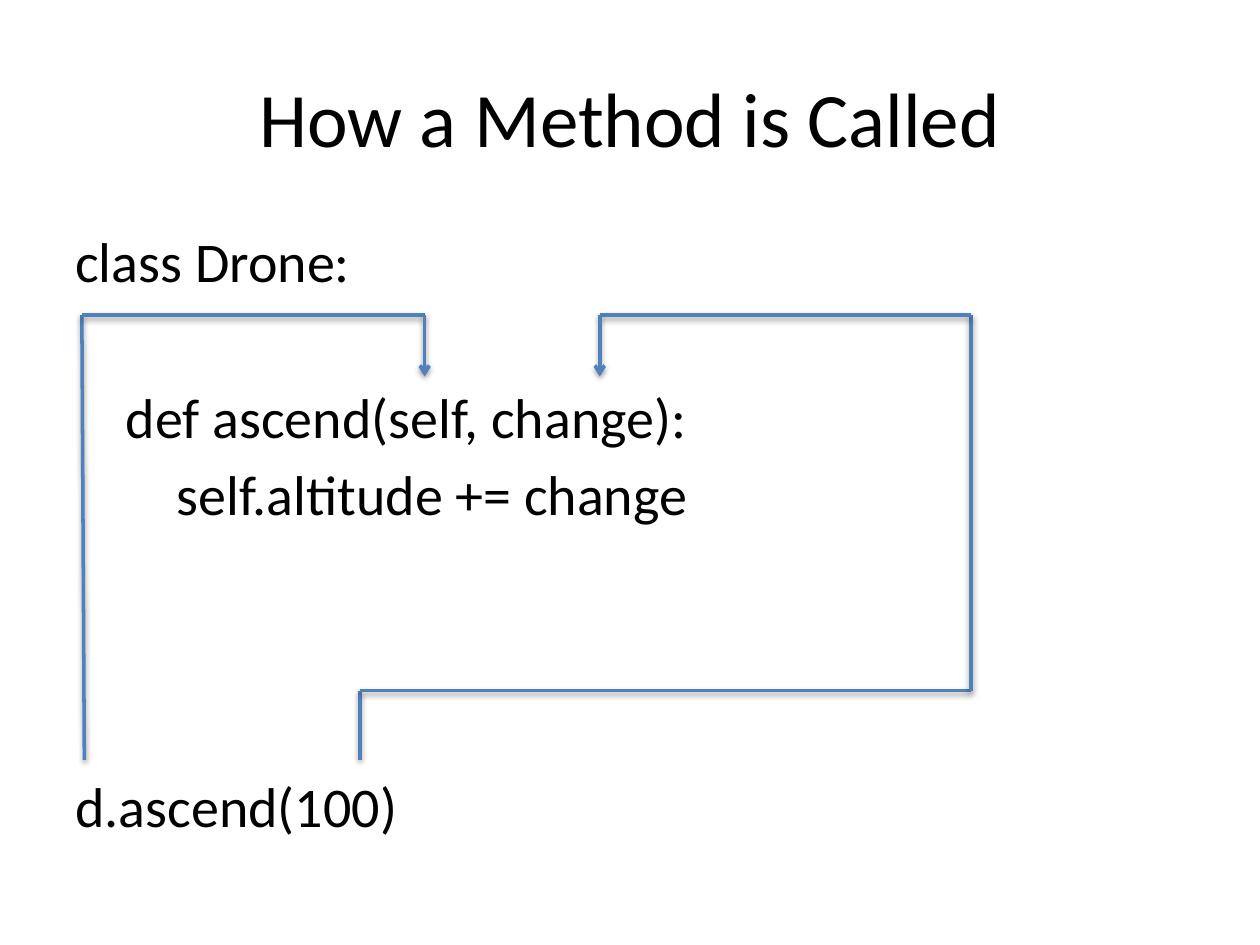
from dataclasses import dataclass
from itertools import pairwise

from lxml import etree
from pptx import Presentation
from pptx.dml.color import RGBColor
from pptx.enum.shapes import MSO_CONNECTOR
from pptx.enum.text import MSO_ANCHOR, PP_ALIGN
from pptx.oxml import parse_xml
from pptx.oxml.ns import qn
from pptx.slide import Slide
from pptx.text.text import _Paragraph
from pptx.util import Cm, Pt

STRAIGHT = MSO_CONNECTOR.STRAIGHT
MIDDLE, TOP = MSO_ANCHOR.MIDDLE, MSO_ANCHOR.TOP
CENTER, LEFT = PP_ALIGN.CENTER, PP_ALIGN.LEFT
BLACK = RGBColor(0x00, 0x00, 0x00)
BLUE = RGBColor(0x4F, 0x81, 0xBD)
TAB = 1.02  # one code indent, in cm

SHADOW = """<a:effectLst
 xmlns:a="http://schemas.openxmlformats.org/drawingml/2006/main">
 <a:outerShdw blurRad="40000" dist="20000" dir="5400000" rotWithShape="0">
 <a:srgbClr val="000000"><a:alpha val="38000"/></a:srgbClr>
 </a:outerShdw></a:effectLst>"""


@dataclass
class Code:
    text: str
    depth: int
    gap: float  # points above the line


@dataclass
class Route:
    points: list[tuple[float, float]]  # cm, from call to parameter


# Levels and columns of the routes, in cm
CALL, TURN, TIP, ROOF = 15.32, 13.92, 7.59, 6.35
EDGE, SELF, VALUE, PARAM, SIDE = 1.7, 8.56, 7.26, 12.09, 19.58

CODE = [
    Code("class Drone:", 0, 1.4),
    Code("def ascend(self, change):", 1, 50.4),
    Code("self.altitude += change", 2, 5.7),
    Code("d.ascend(100)", 0, 139.9),
]
ROUTES = [
    Route([(EDGE, CALL), (1.65, ROOF), (SELF, ROOF), (SELF, TIP)]),
    Route([(VALUE, CALL), (VALUE, TURN), (SIDE, TURN), (SIDE, ROOF),
           (PARAM, ROOF), (PARAM, TIP)]),
]


def write(para: _Paragraph, text: str, size: float, align: PP_ALIGN) -> None:
    para.alignment = align
    run = para.add_run()
    run.text = text
    style = {"name": "Calibri", "size": Pt(size)}
    for key, val in style.items():
        setattr(run.font, key, val)
    run.font.color.rgb = BLACK


def draw_title(slide: Slide, text: str) -> None:
    title = slide.shapes.title
    place = {"left": 1.27, "top": 0.76, "width": 22.86, "height": 3.18}
    for key, val in place.items():
        setattr(title, key, Cm(val))
    title.text_frame.vertical_anchor = MIDDLE
    write(title.text_frame.paragraphs[0], text, 44, CENTER)


def draw_code(slide: Slide, lines: list[Code]) -> None:
    box = slide.shapes.add_textbox(Cm(1.27), Cm(4.45), Cm(22.86), Cm(12.57))
    frame = box.text_frame
    frame.word_wrap = True
    frame.vertical_anchor = TOP
    for num, line in enumerate(lines):
        para = frame.add_paragraph() if num else frame.paragraphs[0]
        write(para, line.text, 32, LEFT)
        para.space_before = Pt(line.gap)
        para._p.get_or_add_pPr().set("marL", str(Cm(TAB * line.depth)))


def draw_route(slide: Slide, route: Route) -> None:
    for start, end in pairwise(route.points):
        ends = [Cm(val) for val in (*start, *end)]
        link = slide.shapes.add_connector(STRAIGHT, *ends)
        link.line.color.rgb = BLUE
        link.line.width = Pt(2)
        if end == route.points[-1]:
            stroke = link.line._get_or_add_ln()
            etree.SubElement(stroke, qn("a:tailEnd"), type="arrow")
        link._element.spPr.append(parse_xml(SHADOW))


def main() -> None:
    deck = Presentation()
    deck.slide_width, deck.slide_height = Cm(25.4), Cm(19.05)
    slide = deck.slides.add_slide(deck.slide_layouts.get_by_name("Title Only"))

    # Title and code
    draw_title(slide, "How a Method is Called")
    draw_code(slide, CODE)

    # Routes from the call to the parameters
    for route in ROUTES:
        draw_route(slide, route)

    deck.save("out.pptx")


if __name__ == "__main__":
    main()
